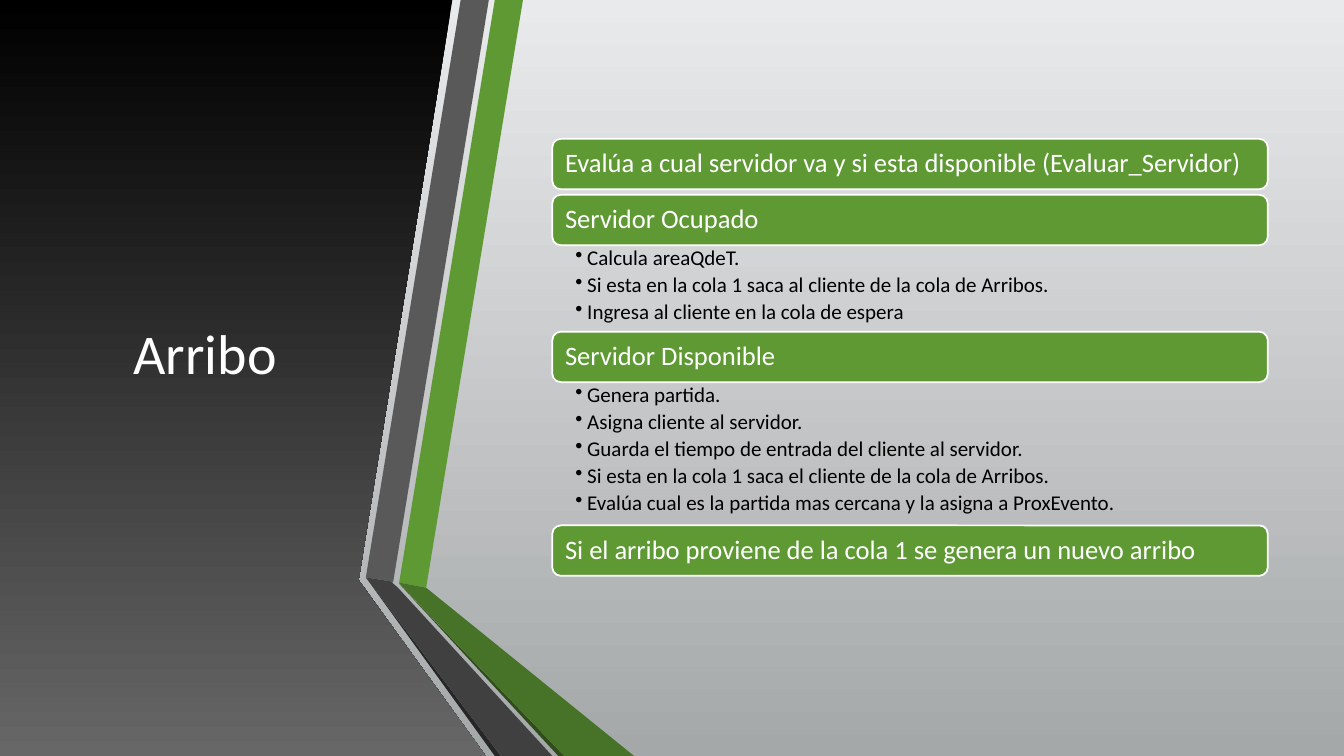
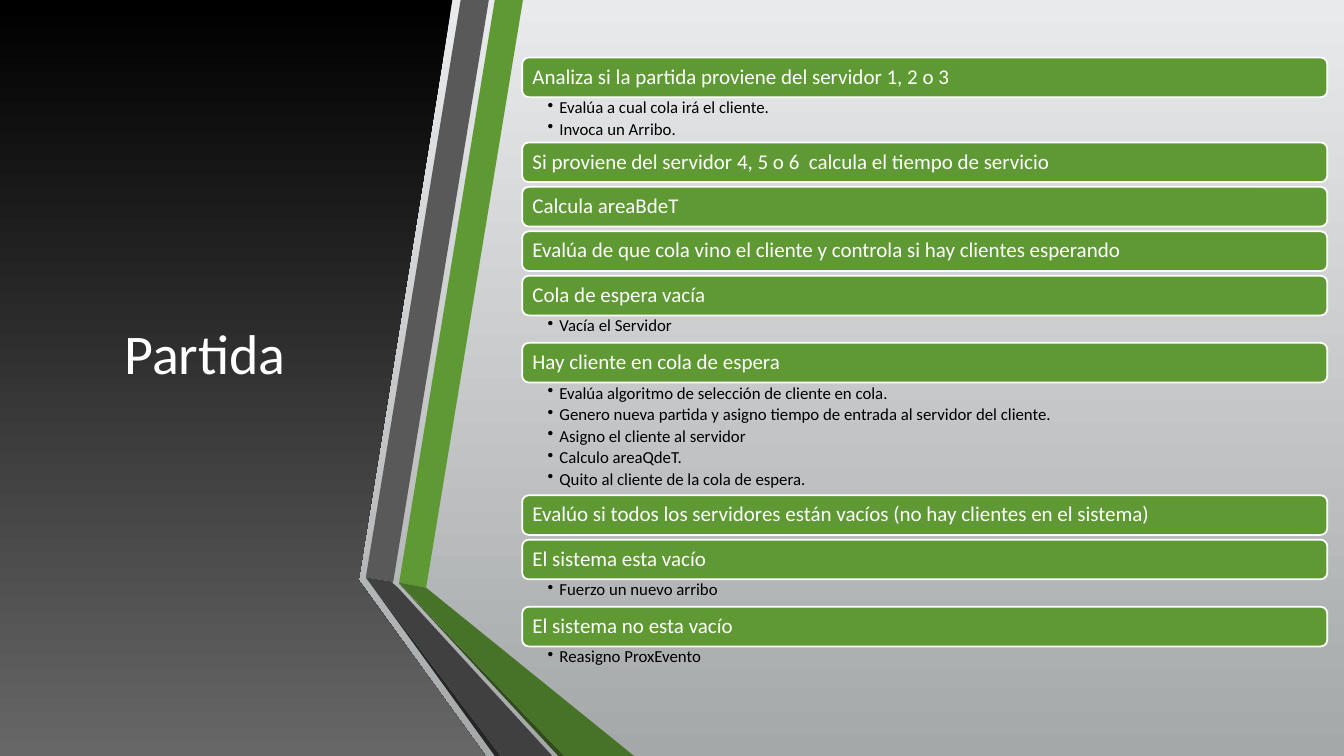
from lxml import etree
from pptx import Presentation
from pptx.dml.color import RGBColor
from pptx.enum.shapes import MSO_SHAPE
from pptx.enum.text import MSO_ANCHOR, PP_ALIGN
from pptx.oxml.ns import qn
from pptx.util import Cm, Pt

ROUNDED = MSO_SHAPE.ROUNDED_RECTANGLE
LEFT, CENTER = PP_ALIGN.LEFT, PP_ALIGN.CENTER
TOP, MIDDLE = MSO_ANCHOR.TOP, MSO_ANCHOR.MIDDLE

FONT = "Calibri"
GREEN, WHITE, BLACK = "5E9934", "FFFFFF", "000000"
HEIGHT = 19.05
BULLET_INDENT = Cm(0.3)

PANEL = [(0, 0), (11.4, 0), (9.04, 14.62), (12.24, HEIGHT), (0, HEIGHT)]
BANDS = [
    (GREEN, [(10.06, 14.68), (10.74, 14.81), (13.18, 0), (12.47, 0)]),
    ("595959", [(12.32, 0), (11.61, 0), (9.22, 14.55), (9.91, 14.66)]),
    ("262626", [(9.22, 14.55), (12.47, HEIGHT), (12.62, HEIGHT)]),
    ("2F4C1A", [(10.06, 14.71), (14.07, HEIGHT), (14.22, HEIGHT)]),
    ("467327", [(10.06, 14.7), (14.22, HEIGHT), (15.98, HEIGHT), (10.74, 14.81), (10.06, 14.68)]),
    ("404040", [(13.92, HEIGHT), (10.03, 14.81), (9.88, 14.68), (9.91, 14.66),
                (9.22, 14.55), (12.62, HEIGHT)]),
]

SLIDES = [
    {
        "title": "Arribo",
        "left": 13.92, "top": 3.5, "width": 18.03,
        "bar_height": 1.27, "gap": 0.14,
        "bar_size": 19, "bar_inset": 0.26,
        "list_size": 15, "list_inset": 0.58, "list_top": 0.06,
        "list_heights": {3: 2.18, 5: 3.61},
        "steps": [
            ("Evalúa a cual servidor va y si esta disponible (Evaluar_Servidor)", []),
            ("Servidor Ocupado", [
                "Calcula areaQdeT.",
                "Si esta en la cola 1 saca al cliente de la cola de Arribos.",
                "Ingresa al cliente en la cola de espera",
            ]),
            ("Servidor Disponible", [
                "Genera partida.",
                "Asigna cliente al servidor.",
                "Guarda el tiempo de entrada del cliente al servidor.",
                "Si esta en la cola 1 saca el cliente de la cola de Arribos.",
                "Evalúa cual es la partida mas cercana y la asigna a ProxEvento.",
            ]),
            ("Si el arribo proviene de la cola 1 se genera un nuevo arribo", []),
        ],
    },
    {
        "title": "Partida",
        "left": 13.16, "top": 1.45, "width": 20.29,
        "bar_height": 1, "gap": 0.12,
        "bar_size": 15, "bar_inset": 0.21,
        "list_size": 12, "list_inset": 0.64, "list_top": 0.05,
        "list_heights": {1: 0.69, 2: 1.14, 5: 2.84},
        "steps": [
            ("Analiza si la partida proviene del servidor 1, 2 o 3", [
                "Evalúa a cual cola irá el cliente.",
                "Invoca un Arribo.",
            ]),
            ("Si proviene del servidor 4, 5 o 6  calcula el tiempo de servicio", []),
            ("Calcula areaBdeT", []),
            ("Evalúa de que cola vino el cliente y controla si hay clientes esperando", []),
            ("Cola de espera vacía", ["Vacía el Servidor"]),
            ("Hay cliente en cola de espera", [
                "Evalúa algoritmo de selección de cliente en cola.",
                "Genero nueva partida y asigno tiempo de entrada al servidor del cliente.",
                "Asigno el cliente al servidor",
                "Calculo areaQdeT.",
                "Quito al cliente de la cola de espera.",
            ]),
            ("Evalúo si todos los servidores están vacíos (no hay clientes en el sistema)", []),
            ("El sistema esta vacío", ["Fuerzo un nuevo arribo"]),
            ("El sistema no esta vacío", ["Reasigno ProxEvento"]),
        ],
    },
]


def paint(fill, *colors):
    if len(colors) == 1:
        fill.solid()
        fill.fore_color.rgb = RGBColor.from_string(colors[0])
        return
    fill.gradient()
    fill.gradient_angle = 270
    for position, (stop, color) in enumerate(zip(fill.gradient_stops, colors)):
        stop.position = position
        stop.color.rgb = RGBColor.from_string(color)


def write(shape, lines, size, color=WHITE, align=LEFT, anchor=MIDDLE,
          inset=0.0, inset_top=0.0, bullets=False):
    frame = shape.text_frame
    frame.word_wrap = True
    frame.vertical_anchor = anchor
    frame.margin_left = frame.margin_right = Cm(inset)
    frame.margin_top = frame.margin_bottom = Cm(inset_top)
    for index, line in enumerate(lines):
        paragraph = frame.add_paragraph() if index else frame.paragraphs[0]
        paragraph.alignment = align
        paragraph.line_spacing = 0.9
        run = paragraph.add_run()
        run.text = line
        run.font.name = FONT
        run.font.size = Pt(size)
        run.font.color.rgb = RGBColor.from_string(color)
        if bullets:
            paragraph.space_after = Pt(size * 0.2)
            properties = paragraph._p.get_or_add_pPr()
            properties.set("marL", str(BULLET_INDENT))
            properties.set("indent", str(-BULLET_INDENT))
            etree.SubElement(properties, qn("a:buChar"), char="•")


presentation = Presentation()
presentation.slide_width = Cm(33.87)
presentation.slide_height = Cm(HEIGHT)
paint(presentation.slide_master.background.fill, "E9EAEB", "A5A8A9")

for content in SLIDES:
    slide = presentation.slides.add_slide(presentation.slide_layouts[6])
    shapes = slide.shapes

    for colors, points in [((BLACK, "676767"), PANEL)] + [((color,), points) for color, points in BANDS]:
        corners = [(Cm(x), Cm(y)) for x, y in points]
        builder = shapes.build_freeform(*corners[0], scale=1.0)
        builder.add_line_segments(corners[1:], close=True)
        outline = builder.convert_to_shape()
        outline.shadow.inherit = False
        outline.line.fill.background()
        paint(outline.fill, *colors)

    title = shapes.add_textbox(Cm(1.5), Cm(1.9), Cm(7.34), Cm(14.17))
    write(title, [content["title"]], 40, align=CENTER)

    left, width = Cm(content["left"]), Cm(content["width"])
    top = content["top"]
    for heading, details in content["steps"]:
        bar = shapes.add_shape(ROUNDED, left, Cm(top), width, Cm(content["bar_height"]))
        bar.shadow.inherit = False
        paint(bar.fill, GREEN)
        paint(bar.line.fill, WHITE)
        bar.line.width = Pt(1.25)
        write(bar, [heading], content["bar_size"], inset=content["bar_inset"])
        top += content["bar_height"]
        if details:
            height = content["list_heights"][len(details)]
            box = shapes.add_textbox(left, Cm(top), width, Cm(height))
            write(box, details, content["list_size"], color=BLACK, anchor=TOP,
                  inset=content["list_inset"], inset_top=content["list_top"], bullets=True)
            top += height
        else:
            top += content["gap"]

presentation.save("out.pptx")
